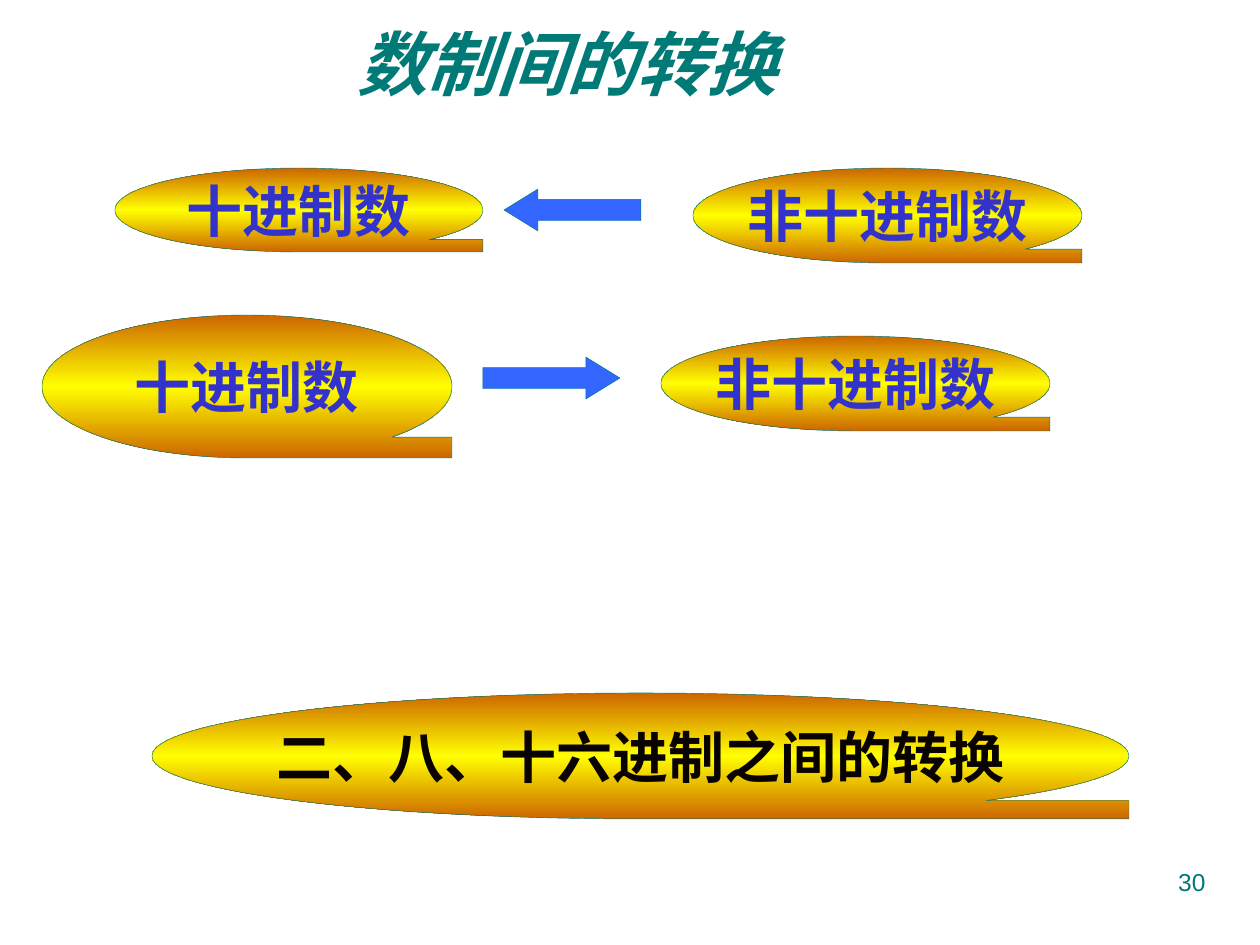
from copy import deepcopy

from pptx import Presentation
from pptx.dml.color import RGBColor
from pptx.enum.shapes import MSO_SHAPE as Shape
from pptx.enum.text import MSO_ANCHOR as Anchor, PP_ALIGN as Align
from pptx.oxml.ns import qn
from pptx.util import Emu, Pt

PX = 914400 // 126
TEAL, BLUE, INDIGO, BLACK = "007A77", "3366FF", "3333CC", "080300"
TAPE_STOPS = [(0, "CC6600"), (0.5, "FFFF00"), (1, "CC6600")]

TITLE = ("数制间的转换", (357, 21, 514, 84))
PAGE_NUMBER = ("30", (903, 861, 315, 66))
TAPES = [
    ("十进制数", (42, 315, 410, 143), INDIGO),
    ("非十进制数", (661, 336, 389, 95), INDIGO),
    ("非十进制数", (693, 168, 389, 95), INDIGO),
    ("十进制数", (115, 168, 368, 84), INDIGO),
    ("二、八、十六进制之间的转换", (152, 693, 977, 126), BLACK),
]
ARROWS = [
    (Shape.RIGHT_ARROW, (483, 357, 137, 42)),
    (Shape.LEFT_ARROW, (504, 189, 137, 42)),
]


def color(value):
    return RGBColor.from_string(value)


def box(pixels):
    return [Emu(value * PX) for value in pixels]


def write(shape, text, size, ink, font="Times New Roman", bold=False, italic=False,
          align=Align.LEFT, anchor=Anchor.TOP, wrap=True, margin=None):
    frame = shape.text_frame
    frame.word_wrap = wrap
    frame.vertical_anchor = anchor
    if margin is not None:
        frame.margin_left = frame.margin_right = margin
        frame.margin_top = frame.margin_bottom = margin
    paragraph = frame.paragraphs[0]
    paragraph.alignment = align
    run = paragraph.add_run()
    run.text = text
    run.font.name = font
    run.font.size = Pt(size)
    run.font.bold = bold
    run.font.italic = italic
    run.font.color.rgb = color(ink)


def add_outlined(slide, kind, pixels):
    shape = slide.shapes.add_shape(kind, *box(pixels))
    shape.shadow.inherit = False
    shape.line.color.rgb = color(TEAL)
    shape.line.width = Pt(0.25)
    return shape


def fill_gradient(shape, stops):
    shape.fill.gradient()
    shape.fill.gradient_angle = 90
    stop_list = next(shape.element.iter(qn("a:gsLst")))
    while len(stop_list) < len(stops):
        stop_list.append(deepcopy(stop_list[-1]))
    for stop, (position, value) in zip(shape.fill.gradient_stops, stops):
        stop.position = position
        stop.color.rgb = color(value)


def main():
    presentation = Presentation()
    presentation.slide_width = Emu(1260 * PX)
    presentation.slide_height = Emu(945 * PX)
    slide = presentation.slides.add_slide(presentation.slide_layouts[6])

    text, pixels = TITLE
    write(slide.shapes.add_textbox(*box(pixels)), text, 40, TEAL,
          bold=True, italic=True, margin=0)

    for text, pixels, ink in TAPES:
        tape = add_outlined(slide, Shape.FLOWCHART_SEQUENTIAL_ACCESS_STORAGE, pixels)
        fill_gradient(tape, TAPE_STOPS)
        write(tape, text, 32, ink, bold=True, align=Align.CENTER,
              anchor=Anchor.MIDDLE, wrap=False)

    for kind, pixels in ARROWS:
        arrow = add_outlined(slide, kind, pixels)
        arrow.adjustments[0] = 0.5
        arrow.adjustments[1] = 0.81
        arrow.fill.solid()
        arrow.fill.fore_color.rgb = color(BLUE)

    text, pixels = PAGE_NUMBER
    write(slide.shapes.add_textbox(*box(pixels)), text, 14, TEAL,
          font="Arial", align=Align.RIGHT)

    presentation.save("out.pptx")


if __name__ == "__main__":
    main()
